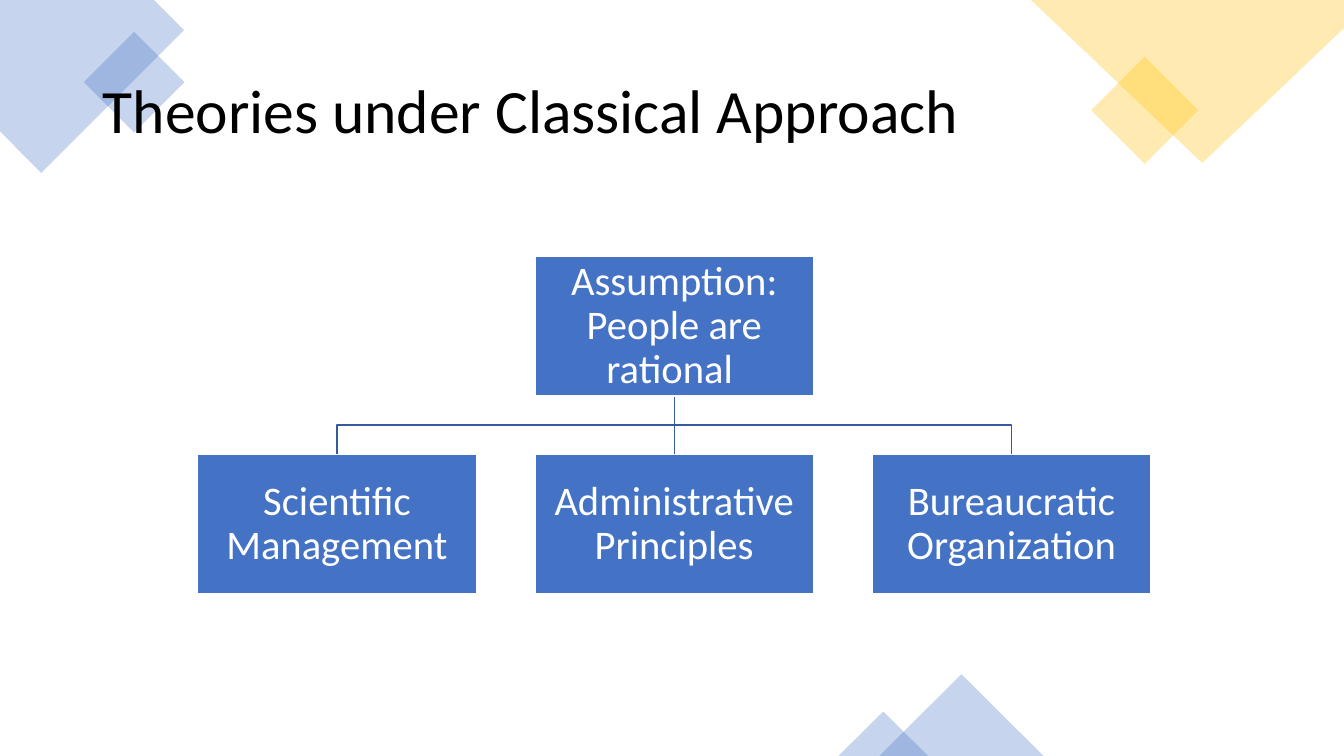
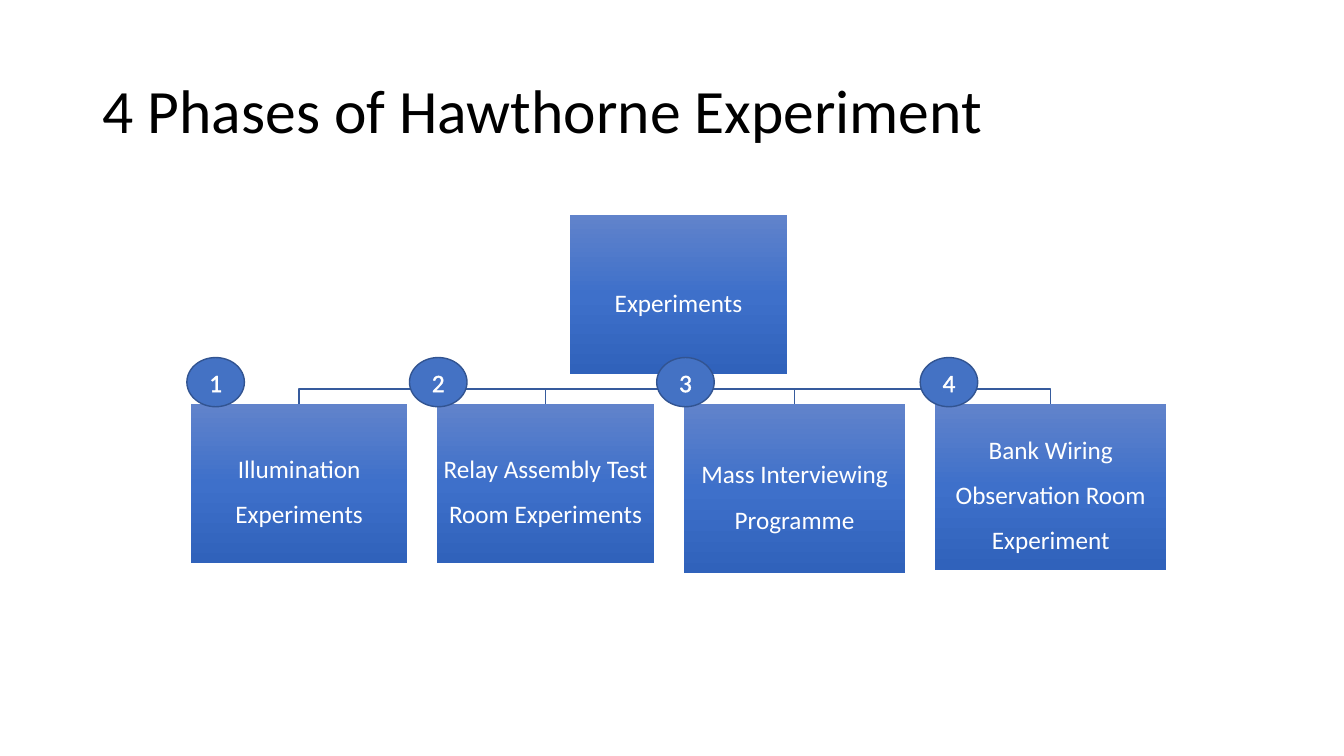
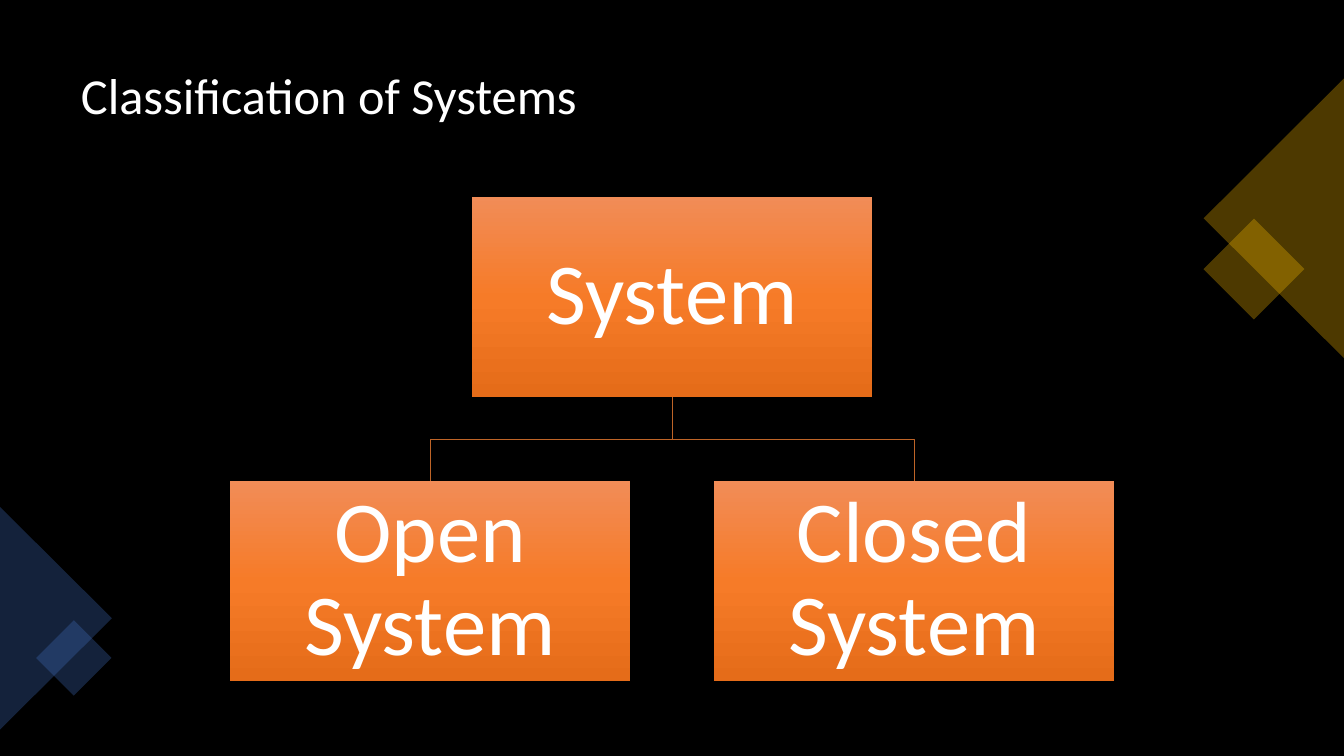
from dataclasses import dataclass

from lxml.etree import SubElement
from pptx import Presentation
from pptx.dml.color import RGBColor
from pptx.enum.shapes import MSO_CONNECTOR, MSO_SHAPE
from pptx.enum.text import MSO_ANCHOR, PP_ALIGN
from pptx.oxml.ns import qn
from pptx.util import Cm, Pt


@dataclass(frozen=True)
class Theme:
    font: str = "Calibri"
    white: str = "FFFFFF"
    black: str = "000000"
    blue: str = "4472C4"
    gold: str = "FFC000"
    blue_line: str = "365B9D"
    orange_line: str = "BE6427"
    badge_line: str = "325491"
    blue_gradient: tuple = ("6183CB", "3E70CA", "3062BB")
    orange_gradient: tuple = ("F18C57", "F67B28", "E56C19")
    accent_opacity: int = 30
    title_size: int = 44
    small_title_size: int = 36
    theory_size: int = 29
    phase_size: int = 18
    system_size: int = 62
    badge_size: int = 18


@dataclass(frozen=True)
class Box:
    """A rectangle in centimetres."""
    left: float
    top: float
    width: float
    height: float

    @property
    def center(self):
        return self.left + self.width / 2

    @property
    def bottom(self):
        return self.top + self.height

    def lengths(self):
        return [Cm(value) for value in (self.left, self.top, self.width, self.height)]


@dataclass(frozen=True)
class ChartStyle:
    fill: object  # one colour, or a tuple of gradient colours
    line: str
    line_width: float
    text_size: int
    inset: float
    spacing: float = 0.9
    border: str = ""


THEME = Theme()
SLIDE = Box(0, 0, 33.87, 19.05)
TITLE = Box(2.34, 1.02, 29.21, 3.68)
SMALL_TITLE = Box(1.79, 0.89, 30.3, 3.15)
BADGE_WIDTH, BADGE_HEIGHT, BADGE_RISE = 1.45, 1.24, 1.17


def rgb(color):
    return RGBColor.from_string(color)


def new_slide(presentation, background):
    slide = presentation.slides.add_slide(presentation.slide_layouts[6])
    slide.background.fill.solid()
    slide.background.fill.fore_color.rgb = rgb(background)
    return slide


def write(shape, text, size, color, align, spacing=1.0):
    frame = shape.text_frame
    frame.word_wrap = True
    frame.vertical_anchor = MSO_ANCHOR.MIDDLE
    paragraph = frame.paragraphs[0]
    paragraph.text = text
    paragraph.alignment = align
    paragraph.line_spacing = spacing
    font = paragraph.font
    font.name, font.size = THEME.font, Pt(size)
    font.color.rgb = rgb(color)
    return paragraph


def add_title(slide, box, text, size, color):
    title = slide.shapes.add_textbox(*box.lengths())
    write(title, text, size, color, PP_ALIGN.LEFT, 0.9)


def draw_line(line, color, width):
    line.color.rgb = rgb(color)
    line.width = Pt(width)


def paint(shape, fill, border="", border_width=1):
    shape.shadow.inherit = False
    if isinstance(fill, tuple):
        paint_gradient(shape, fill)
    else:
        shape.fill.solid()
        shape.fill.fore_color.rgb = rgb(fill)
    if border:
        draw_line(shape.line, border, border_width)
    else:
        shape.line.fill.background()


def paint_gradient(shape, colors):
    """Spread the colours evenly from top to bottom."""
    shape.fill.gradient()
    shape.fill.gradient_angle = 270
    stops = next(shape._element.iter(qn("a:gsLst")))
    for stop in list(stops):
        stops.remove(stop)
    for index, color in enumerate(colors):
        position = 100000 * index // (len(colors) - 1)
        stop = SubElement(stops, qn("a:gs"), pos=str(position))
        SubElement(stop, qn("a:srgbClr"), val=color)


def paint_accent(shape, color):
    paint(shape, color)
    element = next(shape._element.iter(qn("a:srgbClr")))
    SubElement(element, qn("a:alpha"), val=str(THEME.accent_opacity * 1000))


def add_outline(slide, points, close):
    start, *others = [(Cm(x), Cm(y)) for x, y in points]
    builder = slide.shapes.build_freeform(*start)
    builder.add_line_segments(others, close=close)
    return builder.convert_to_shape()


def add_accent(slide, kind, center, size, color, rotation=0):
    (x, y), (width, height) = center, size
    box = Box(x - width / 2, y - height / 2, width, height)
    shape = slide.shapes.add_shape(kind, *box.lengths())
    shape.rotation = rotation
    paint_accent(shape, color)


def add_light_accents(slide, box):
    left, top, right, bottom = box.left, box.top, box.left + box.width, box.bottom
    diamond, triangle = MSO_SHAPE.DIAMOND, MSO_SHAPE.ISOSCELES_TRIANGLE
    blue_corner = [(left, top), (left + 3.88, top), (left + 4.64, top + 0.76),
                   (left + 1.04, top + 4.36), (left, top + 3.31)]
    gold_corner = [(right - 7.89, top), (right, top), (right, top + 0.71),
                   (right - 3.57, top + 4.11)]
    paint_accent(add_outline(slide, blue_corner, True), THEME.blue)
    add_accent(slide, diamond, (left + 3.38, top + 2.07), (2.54, 2.54), THEME.blue)
    add_accent(slide, diamond, (right - 5.02, top + 2.78), (2.7, 2.7), THEME.gold)
    paint_accent(add_outline(slide, gold_corner, True), THEME.gold)
    for x, width, height in [(24.23, 4.14, 2.06), (22.26, 2.26, 1.12)]:
        add_accent(slide, triangle, (left + x, bottom - height / 2), (width, height), THEME.blue)


def add_dark_accents(slide, box):
    left, top, right = box.left, box.top, box.left + box.width
    diamond, triangle = MSO_SHAPE.DIAMOND, MSO_SHAPE.ISOSCELES_TRIANGLE
    add_accent(slide, diamond, (right - 2.27, top + 6.78), (2.54, 2.54), THEME.gold)
    add_accent(slide, triangle, (right - 1.77, top + 5.5), (7.04, 3.53), THEME.gold, 270)
    add_accent(slide, triangle, (left + 1.41, top + 15.58), (5.61, 2.82), THEME.blue, 90)
    add_accent(slide, diamond, (left + 1.86, top + 16.58), (1.9, 1.9), THEME.blue)


def add_branch(slide, parent, child, style):
    """Lead from the foot of the parent to the head of the child."""
    start, end = (parent.center, parent.bottom), (child.center, child.top)
    if abs(start[0] - end[0]) < 0.01:
        ends = [Cm(value) for value in (*start, *end)]
        branch = slide.shapes.add_connector(MSO_CONNECTOR.STRAIGHT, *ends)
        draw_line(branch.line, style.line, style.line_width)
        SubElement(branch._element.spPr, qn("a:effectLst"))
    else:
        middle = (start[1] + end[1]) / 2
        corners = [(start[0], middle), (end[0], middle)]
        branch = add_outline(slide, [start, *corners, end], False)
        branch.shadow.inherit = False
        branch.fill.background()
        draw_line(branch.line, style.line, style.line_width)


def add_node(slide, box, text, style):
    node = slide.shapes.add_shape(MSO_SHAPE.RECTANGLE, *box.lengths())
    paint(node, style.fill, style.border)
    frame = node.text_frame
    frame.margin_left = frame.margin_right = Cm(style.inset)
    frame.margin_top = frame.margin_bottom = Cm(style.inset)
    write(node, text, style.text_size, THEME.white, PP_ALIGN.CENTER, style.spacing)


def add_org_chart(slide, root, gap, children, style):
    """Center a row of (text, width, height) nodes under the (text, box) root.

    The same gap parts the levels and the nodes; returns the row's boxes.
    """
    root_text, root_box = root
    row_width = sum(width for _, width, _ in children) + gap * (len(children) - 1)
    left, top = root_box.center - row_width / 2, root_box.bottom + gap
    boxes = []
    for _, width, height in children:
        boxes.append(Box(left, top, width, height))
        left += width + gap

    for box in reversed(boxes):
        add_branch(slide, root_box, box, style)
    add_node(slide, root_box, root_text, style)
    for box, (text, _, _) in zip(boxes, children):
        add_node(slide, box, text, style)
    return boxes


def add_badge(slide, node_box, shift, number):
    """Number a node, starting shift centimetres left of it."""
    box = Box(node_box.left - shift, node_box.top - BADGE_RISE, BADGE_WIDTH, BADGE_HEIGHT)
    badge = slide.shapes.add_shape(MSO_SHAPE.OVAL, *box.lengths())
    paint(badge, THEME.blue, THEME.badge_line)
    paragraph = write(badge, str(number), THEME.badge_size, THEME.white, PP_ALIGN.CENTER)
    outline = SubElement(paragraph.runs[0]._r.get_or_add_rPr(), qn("a:ln"), w=str(Pt(0.75)))
    fill = SubElement(outline, qn("a:solidFill"))
    SubElement(fill, qn("a:srgbClr"), val=THEME.white)


def build_theories(presentation):
    slide = new_slide(presentation, THEME.white)
    add_light_accents(slide, SLIDE)
    add_title(slide, TITLE, "Theories under Classical Approach", THEME.title_size, THEME.black)
    style = ChartStyle(THEME.blue, THEME.blue_line, 1, THEME.theory_size, 0.05,
                       border=THEME.white)
    width, height = 7.03, 3.51
    names = ["Scientific Management", "Administrative Principles", "Bureaucratic Organization"]
    root = ("Assumption: People are rational ", Box(13.48, 6.47, width, height))
    add_org_chart(slide, root, 1.47, [(name, width, height) for name in names], style)


def build_phases(presentation):
    slide = new_slide(presentation, THEME.white)
    add_title(slide, TITLE, "4 Phases of Hawthorne Experiment", THEME.title_size, THEME.black)
    style = ChartStyle(THEME.blue_gradient, THEME.blue_line, 1, THEME.phase_size, 0.03,
                       spacing=1.5)
    width, height = 5.46, 4.01
    phases = [("Illumination Experiments", width, height),
              ("Relay Assembly Test Room Experiments", width, height),
              ("Mass Interviewing Programme", 5.59, 4.27),
              ("Bank Wiring Observation Room Experiment", 5.82, 4.18)]
    root = ("Experiments", Box(14.37, 5.42, width, height))
    boxes = add_org_chart(slide, root, 0.75, phases, style)
    for number, (box, shift) in enumerate(zip(boxes, [0.1, 0.7, 0.68, 0.38]), start=1):
        add_badge(slide, box, shift, number)


def build_systems(presentation):
    slide = new_slide(presentation, THEME.black)
    add_title(slide, SMALL_TITLE, "Classification of Systems", THEME.small_title_size, THEME.white)
    add_dark_accents(slide, SLIDE)
    style = ChartStyle(THEME.orange_gradient, THEME.orange_line, 0.5, THEME.system_size, 0.1)
    width, height = 10.08, 5.04
    root = ("System", Box(11.9, 4.96, width, height))
    children = [(name, width, height) for name in ("Open System", "Closed System")]
    add_org_chart(slide, root, 2.12, children, style)


def main():
    presentation = Presentation()
    presentation.slide_width = Cm(SLIDE.width)
    presentation.slide_height = Cm(SLIDE.height)
    for build in (build_theories, build_phases, build_systems):
        build(presentation)
    presentation.save("out.pptx")


if __name__ == "__main__":
    main()
